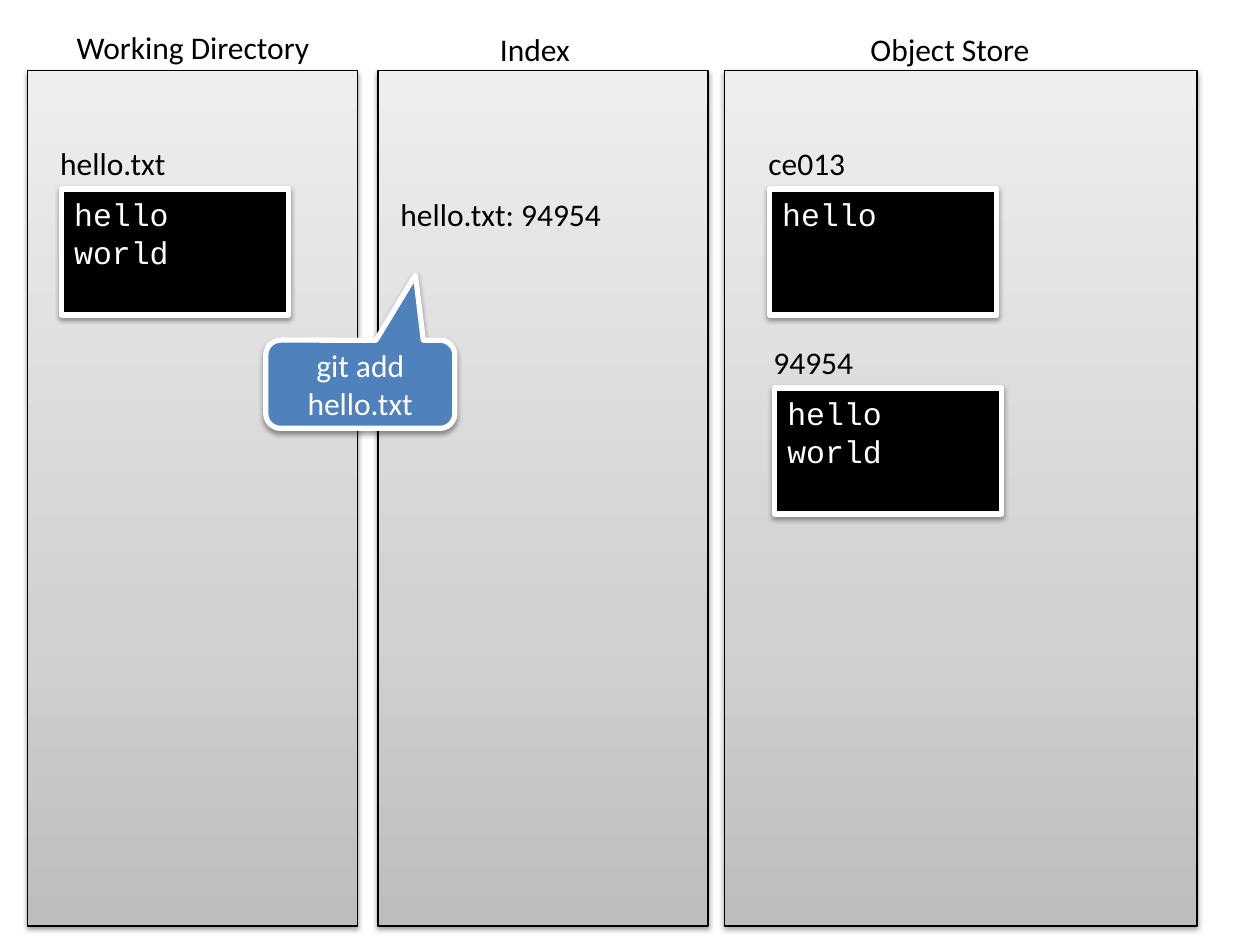
import lxml.etree
import pptx
import pptx.dml.color
import pptx.enum.shapes
import pptx.enum.text
import pptx.oxml
import pptx.oxml.ns
import pptx.util

Inches = pptx.util.Inches
SHAPE = pptx.enum.shapes.MSO_SHAPE
ALIGN = pptx.enum.text.PP_ALIGN
ANCHOR = pptx.enum.text.MSO_ANCHOR
NS = 'xmlns:a="http://schemas.openxmlformats.org/drawingml/2006/main"'

# Content: columns are (left, width); titles are (text, left, top, width, height)
COLUMNS = [(0.22, 2.62), (3, 2.62), (5.75, 3.75)]
COLUMN_TOP, COLUMN_HEIGHT = 0.56, 6.79
TITLES = [
    ("Working Directory", 0.51, 0.17, 2.08, 0.71),
    ("Index", 3.87, 0.19, 0.77, 0.4),
    ("Object Store", 6.81, 0.19, 1.48, 0.4),
]
# Files are (name, lines, left, top, name width)
FILES = [
    ("hello.txt", ["hello", "world"], 0.49, 1.5, 1.06),
    ("ce013", ["hello"], 6.11, 1.5, 0.82),
    ("94954", ["hello", "world"], 6.15, 3.08, 0.84),
]
FILE_WIDTH, FILE_HEIGHT = 1.8, 1
NAME_DX, NAME_DY, NAME_HEIGHT = -0.11, -0.41, 0.4
INDEX_ENTRY = ("hello.txt: 94954", 3.08, 1.5, 2.38, 0.4)
COMMAND = ("git add hello.txt", 2.11, 2.7, 1.5, 0.7)
COMMAND_ADJUST = (0.292, -1.239, 0.167)

THEME = {
    "text": "000000", "light": "FFFFFF", "terminal": "000000",
    "callout": "4F81BD", "edge": "000000",
    "gradient": [(0, "BDBDBD"), (35, "D1D1D1"), (100, "EEEEEE")],
    "font": "Calibri", "mono": "Courier New", "size": 18,
    "thin": 0.75, "thick": 3,
}


def rgb(key):
    return pptx.dml.color.RGBColor.from_string(THEME[key])


def write(tf, lines, color="text", font="font", align=ALIGN.LEFT):
    for i, line in enumerate(lines):
        p = tf.add_paragraph() if i else tf.paragraphs[0]
        p.alignment = align
        r = p.add_run()
        r.text = line
        r.font.name = THEME[font]
        r.font.size = pptx.util.Pt(THEME["size"])
        r.font.color.rgb = rgb(color)


def add_label(shapes, text, x, y, w, h, wrap=False):
    tf = shapes.add_textbox(*map(Inches, (x, y, w, h))).text_frame
    tf.word_wrap = wrap
    write(tf, [text])


def add_box(shapes, kind, x, y, w, h, line, weight, fill=None):
    sp = shapes.add_shape(kind, *map(Inches, (x, y, w, h)))
    if fill:
        sp.fill.solid()
        sp.fill.fore_color.rgb = rgb(fill)
    sp.line.color.rgb = rgb(line)
    sp.line.width = pptx.util.Pt(THEME[weight])
    # Soft shadow straight below
    sp.shadow.inherit = False
    effects = sp.element.spPr.find(pptx.oxml.ns.qn("a:effectLst"))
    effects.append(pptx.oxml.parse_xml(
        f'<a:outerShdw {NS} blurRad="{pptx.util.Pt(3.1)}" dist="{pptx.util.Pt(1.6)}" '
        'dir="5400000" rotWithShape="0"><a:srgbClr val="000000">'
        '<a:alpha val="38000"/></a:srgbClr></a:outerShdw>'))
    return sp


def add_column(shapes, x, w):
    sp = add_box(shapes, SHAPE.RECTANGLE, x, COLUMN_TOP, w, COLUMN_HEIGHT, "edge", "thin")
    stops = "".join(f'<a:gs pos="{pos * 1000}"><a:srgbClr val="{color}"/></a:gs>'
                    for pos, color in THEME["gradient"])
    geometry = sp.element.spPr.find(pptx.oxml.ns.qn("a:prstGeom"))
    geometry.addnext(pptx.oxml.parse_xml(
        f'<a:gradFill {NS} rotWithShape="1"><a:gsLst>{stops}</a:gsLst>'
        '<a:lin ang="16200000" scaled="0"/></a:gradFill>'))


def add_file(shapes, name, lines, x, y, name_width):
    group = shapes.add_group_shape().shapes
    sp = add_box(group, SHAPE.RECTANGLE, x, y, FILE_WIDTH, FILE_HEIGHT,
                 "light", "thick", "terminal")
    sp.text_frame.vertical_anchor = ANCHOR.TOP
    write(sp.text_frame, lines, "light", "mono")
    add_label(group, name, x + NAME_DX, y + NAME_DY, name_width, NAME_HEIGHT)


def main():
    prs = pptx.Presentation()
    prs.slide_width, prs.slide_height = Inches(10), Inches(7.5)
    shapes = prs.slides.add_slide(prs.slide_layouts[6]).shapes

    # Columns and their titles
    for column in COLUMNS:
        add_column(shapes, *column)
    for title in TITLES:
        add_label(shapes, *title)

    # Files and the index entry
    for file in FILES:
        add_file(shapes, *file)
    add_label(shapes, *INDEX_ENTRY, wrap=True)

    # Command callout
    text, *place = COMMAND
    sp = add_box(shapes, SHAPE.ROUNDED_RECTANGULAR_CALLOUT, *place,
                 "light", "thick", "callout")
    for i, value in enumerate(COMMAND_ADJUST):
        sp.adjustments[i] = value
    sp.text_frame.vertical_anchor = ANCHOR.MIDDLE
    sp.text_frame.word_wrap = True
    write(sp.text_frame, [text], "light", align=ALIGN.CENTER)

    prs.save("out.pptx")


if __name__ == "__main__":
    main()
